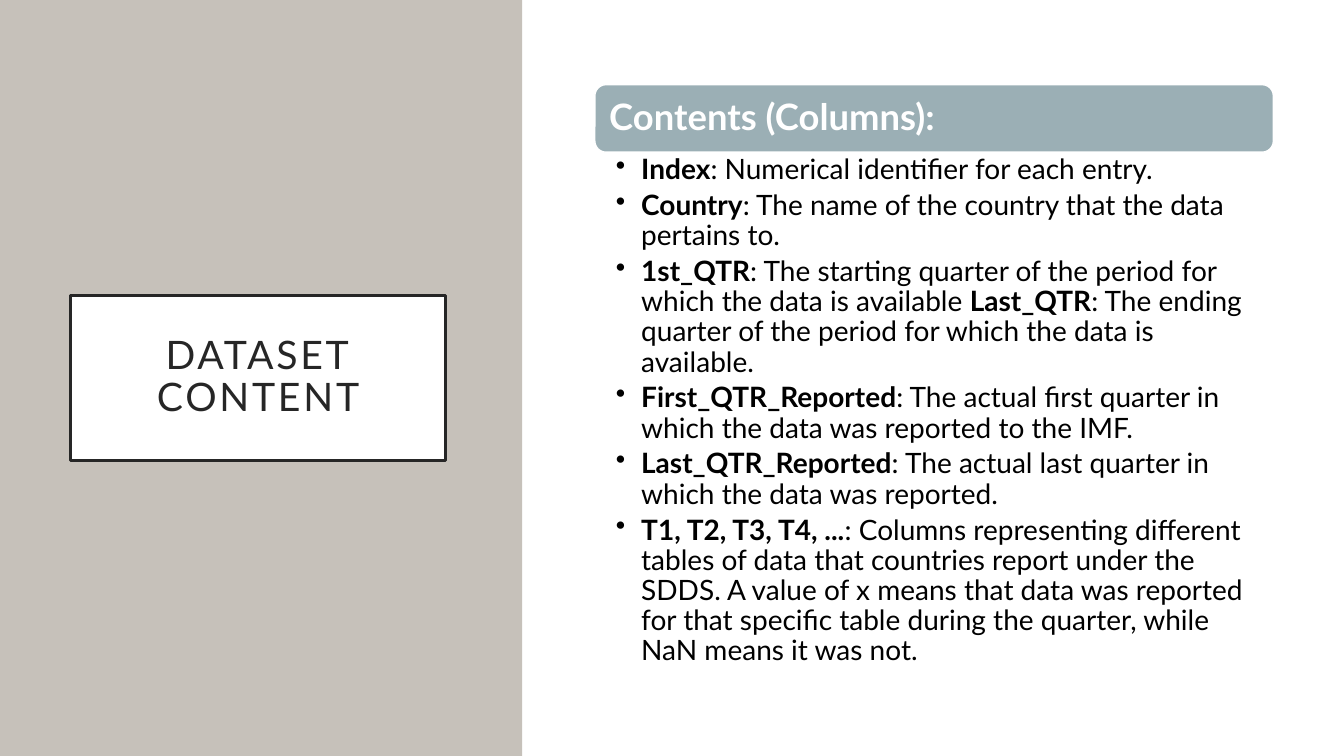
import pptx
import pptx.util
import pptx.dml.color
import pptx.enum.shapes
import pptx.enum.text
import pptx.oxml
import pptx.oxml.ns

Inches = pptx.util.Inches
Pt = pptx.util.Pt
RGBColor = pptx.dml.color.RGBColor
Kind = pptx.enum.shapes.MSO_SHAPE
Align = pptx.enum.text.PP_ALIGN
Anchor = pptx.enum.text.MSO_ANCHOR

FONT = "Lato"
WHITE = RGBColor(0xFF, 0xFF, 0xFF)
BLACK = RGBColor(0, 0, 0)
INK = RGBColor(0x26, 0x26, 0x26)
SAND = RGBColor(0xC6, 0xC1, 0xBA)
TEAL = RGBColor(0x9B, 0xAF, 0xB5)

COLUMNS = [
    ["Index", ": Numerical identifier for each entry."],
    ["Country", ": The name of the country that the data pertains to."],
    ["1st_QTR", ": The starting quarter of the period for which the data is available ",
     "Last_QTR", ": The ending quarter of the period for which the data is available."],
    ["First_QTR_Reported",
     ": The actual first quarter in which the data was reported to the IMF."],
    ["Last_QTR_Reported", ": The actual last quarter in which the data was reported."],
    ["T1, T2, T3, T4, ...",
     ": Columns representing different tables of data that countries report under the SDDS. "
     "A value of x means that data was reported for that specific table during the quarter, "
     "while NaN means it was not."],
]


def add_box(slide, kind, area, fill, line=None, width=1):
    box = slide.shapes.add_shape(kind, *map(Inches, area))
    box.shadow.inherit = False
    box.fill.solid()
    box.fill.fore_color.rgb = fill
    if line is None:
        box.line.fill.background()
    else:
        box.line.color.rgb = line
        box.line.width = Pt(width)
    return box


def set_frame(frame, pads, anchor):
    frame.word_wrap = True
    frame.vertical_anchor = anchor
    frame.margin_left, frame.margin_top, frame.margin_right, frame.margin_bottom = map(Inches, pads)


def set_font(run, size, color, bold=False):
    run.font.name = FONT
    run.font.size = Pt(size)
    run.font.color.rgb = color
    run.font.bold = bold


def add_label(box, text, pad, size, color, align, bold=False):
    frame = box.text_frame
    set_frame(frame, pad, Anchor.MIDDLE)
    frame.text = text
    para = frame.paragraphs[0]
    para.alignment = align
    para.line_spacing = 0.9
    run = para.runs[0]
    set_font(run, size, color, bold)
    return run


def set_bullet(para):
    props = para._p.get_or_add_pPr()
    props.set("marL", str(Inches(0.25)))
    props.set("indent", str(-Inches(0.25)))
    mark = pptx.oxml.parse_xml(
        f'<a:buChar {pptx.oxml.ns.nsdecls("a")} char="•"/>')
    props.append(mark)


def add_list(slide, area, items):
    frame = slide.shapes.add_textbox(*map(Inches, area)).text_frame
    set_frame(frame, (0.21, 0.04, 0.2, 0.04), Anchor.TOP)
    for index, parts in enumerate(items):
        para = frame.add_paragraph() if index else frame.paragraphs[0]
        para.level = 1
        para.alignment = Align.LEFT
        para.line_spacing = 0.9
        para.space_after = Pt(4)
        set_bullet(para)
        for place, text in enumerate(parts):
            run = para.add_run()
            run.text = text
            set_font(run, 20, BLACK, place % 2 == 0)


def main():
    deck = pptx.Presentation()
    deck.slide_width = Inches(13.33)
    deck.slide_height = Inches(7.5)
    slide = deck.slides.add_slide(deck.slide_layouts[6])

    add_box(slide, Kind.RECTANGLE, (0, 0, 5.18, 7.5), SAND)
    title = add_box(slide, Kind.RECTANGLE, (0.7, 2.93, 3.72, 1.64), WHITE, INK, 2.5)
    run = add_label(title, "DATASET CONTENT", (0.2,) * 4, 28, INK, Align.CENTER)
    run.font._element.set("spc", "200")

    add_box(slide, Kind.RECTANGLE, (5.2, 0, 8.13, 7.5), WHITE)
    head = add_box(slide, Kind.ROUNDED_RECTANGLE, (5.9, 0.84, 6.73, 0.67), TEAL, WHITE)
    add_label(head, "Contents (Columns):", (0.11,) * 4, 26, WHITE, Align.LEFT, True)
    add_list(slide, (5.9, 1.5, 6.73, 4.83), COLUMNS)

    deck.save("out.pptx")


if __name__ == "__main__":
    main()
